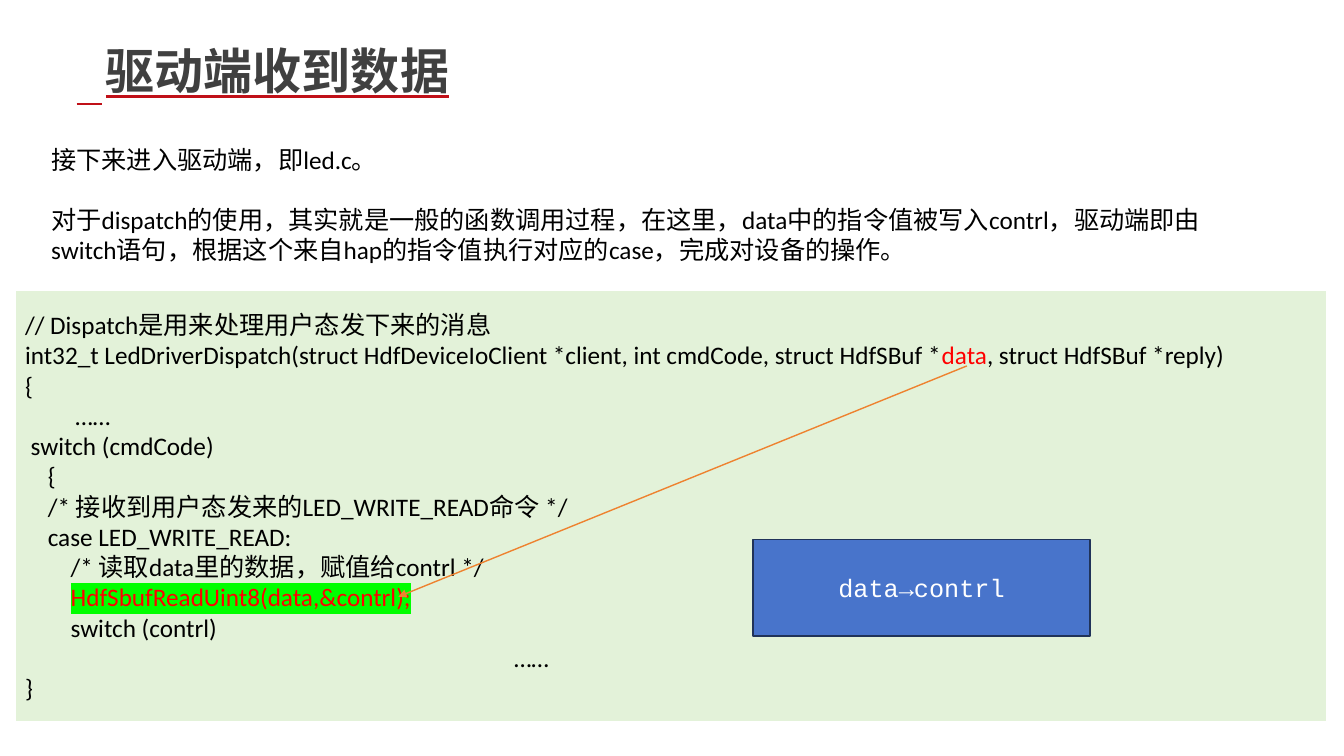
from lxml.etree import SubElement, Element
from pptx import Presentation
from pptx.dml.color import RGBColor as RGB
from pptx.enum.shapes import MSO_CONNECTOR as LINE, MSO_SHAPE as SHAPE
from pptx.enum.text import MSO_ANCHOR as ANCHOR, MSO_AUTO_SIZE as FIT, PP_ALIGN as ALIGN
from pptx.oxml.ns import qn
from pptx.util import Inches, Pt

BLACK = RGB(0, 0, 0)
WHITE = RGB(255, 255, 255)
RED = RGB(255, 0, 0)
DARK = RGB(0x40, 0x40, 0x40)
RULE = RGB(0xC0, 0x10, 0x18)
MINT = RGB(0xE3, 0xF2, 0xD9)
GREEN = RGB(0, 255, 0)
BLUE = RGB(0x48, 0x74, 0xCB)
NAVY = RGB(0x20, 0x33, 0x59)
ORANGE = RGB(0xEE, 0x82, 0x2F)
SANS, MONO, HAN = "Calibri", "Courier New", "Noto Sans CJK SC"

TITLE = "驱动端收到数据"
INTRO = [
    "接下来进入驱动端，即led.c。",
    "对于dispatch的使用，其实就是一般的函数调用过程，在这里，data中的指令值被写入contrl，"
    "驱动端即由switch语句，根据这个来自hap的指令值执行对应的case，完成对设备的操作。",
]
# Each code line is a list of (text, colour, highlight) runs
CALL = [("        ", RED, None), ("HdfSbufReadUint8(data,&contrl);\t", RED, GREEN)]
HEAD = [
    ("int32_t LedDriverDispatch(struct HdfDeviceIoClient *client, int cmdCode, struct HdfSBuf *",
     BLACK, None),
    ("data", RED, None),
    (", struct HdfSBuf *reply)", BLACK, None),
]
CODE = [
    "// Dispatch是用来处理用户态发下来的消息",
    HEAD,
    "{",
    "\t……",
    " switch (cmdCode)",
    "    {",
    "    /* 接收到用户态发来的LED_WRITE_READ命令 */",
    "    case LED_WRITE_READ:",
    "        /* 读取data里的数据，赋值给contrl */",
    CALL,
    "        switch (contrl)",
    "\t……",
    "}",
]


def place(left, top, width, height):
    return [Inches(n) for n in (left, top, width, height)]


def tint(run, tag, color):
    """Add a highlight or wrap an underline fill after the text fill."""
    fill = run._r.get_or_add_rPr().find(qn("a:solidFill"))
    mark = Element(qn(tag))
    base = SubElement(mark, qn("a:solidFill")) if tag == "a:uFill" else mark
    SubElement(base, qn("a:srgbClr"), val=str(color))
    fill.addnext(mark)


def add_run(para, text, color=BLACK, face=SANS, size=18):
    run = para.add_run()
    run.text = text
    run.font.size = Pt(size)
    run.font.color.rgb = color
    run.font.name = face
    SubElement(run._r.get_or_add_rPr(), qn("a:ea"), typeface=face)
    return run


def add_para(frame, first):
    para = frame.paragraphs[0] if first else frame.add_paragraph()
    para.alignment = ALIGN.LEFT
    para.line_spacing = Pt(21.6)
    return para


def add_tab(para, pos):
    tabs = SubElement(para._p.get_or_add_pPr(), qn("a:tabLst"))
    SubElement(tabs, qn("a:tab"), pos=str(Inches(pos)), algn="l")


def add_rect(slide, box, fill, edge):
    rect = slide.shapes.add_shape(SHAPE.RECTANGLE, *place(*box))
    rect.shadow.inherit = False
    rect.fill.solid()
    rect.fill.fore_color.rgb = fill
    rect.line.color.rgb = edge
    rect.line.width = Pt(1)
    frame = rect.text_frame
    frame.word_wrap = True
    frame.vertical_anchor = ANCHOR.MIDDLE
    return frame


def add_line(slide, ends, color, width, arrow=False):
    line = slide.shapes.add_connector(LINE.STRAIGHT, *place(*ends))
    line.line.color.rgb = color
    line.line.width = Pt(width)
    if arrow:
        SubElement(line.line._get_or_add_ln(), qn("a:tailEnd"), type="triangle")
    SubElement(line._element.spPr, qn("a:effectLst"))


def add_title(slide):
    title = slide.shapes.title
    title.left, title.top, title.width, title.height = place(1.05, 0.4, 6.42, 0.71)
    frame = title.text_frame
    frame.margin_left = frame.margin_right = 0
    frame.margin_top = frame.margin_bottom = 0
    frame.vertical_anchor = ANCHOR.TOP
    frame.auto_size = FIT.NONE
    para = frame.paragraphs[0]
    para.alignment = ALIGN.LEFT
    run = add_run(para, TITLE, DARK, HAN, 35)
    run.font.bold = True
    run.font.underline = True
    tint(run, "a:uFill", RULE)


def add_intro(slide):
    frame = slide.shapes.add_textbox(*place(0.41, 1.38, 12.06, 1.31)).text_frame
    frame.word_wrap = True
    for i, text in enumerate(INTRO):
        para = add_para(frame, i == 0)
        if i:
            para.space_before = Pt(21.6)
        add_run(para, text)


def add_code(slide):
    frame = add_rect(slide, (0.15, 2.88, 13.01, 4.28), MINT, WHITE)
    for i, line in enumerate(CODE):
        para = add_para(frame, i == 0)
        if line is CALL:
            add_tab(para, 4.85)
        runs = [(line, BLACK, None)] if isinstance(line, str) else line
        for text, color, glow in runs:
            run = add_run(para, text, color)
            if glow:
                tint(run, "a:highlight", glow)


def add_note(slide):
    para = add_rect(slide, (7.47, 5.35, 3.34, 0.96), BLUE, NAVY).paragraphs[0]
    para.alignment = ALIGN.CENTER
    add_run(para, "data→contrl", WHITE, MONO)


def main():
    deck = Presentation()
    deck.slide_width, deck.slide_height = Inches(13.33), Inches(7.5)
    slide = deck.slides.add_slide(deck.slide_layouts[5])

    # Heading with its short lead-in rule
    add_title(slide)
    add_line(slide, (0.76, 1.03, 1.01, 1.03), RULE, 1.5)

    # Explanation and code
    add_intro(slide)
    add_code(slide)

    # Arrow from the parameter to the call, and the summary box
    add_line(slide, (9.59, 3.63, 3.95, 5.92), ORANGE, 1, arrow=True)
    add_note(slide)
    deck.save("out.pptx")


if __name__ == "__main__":
    main()
